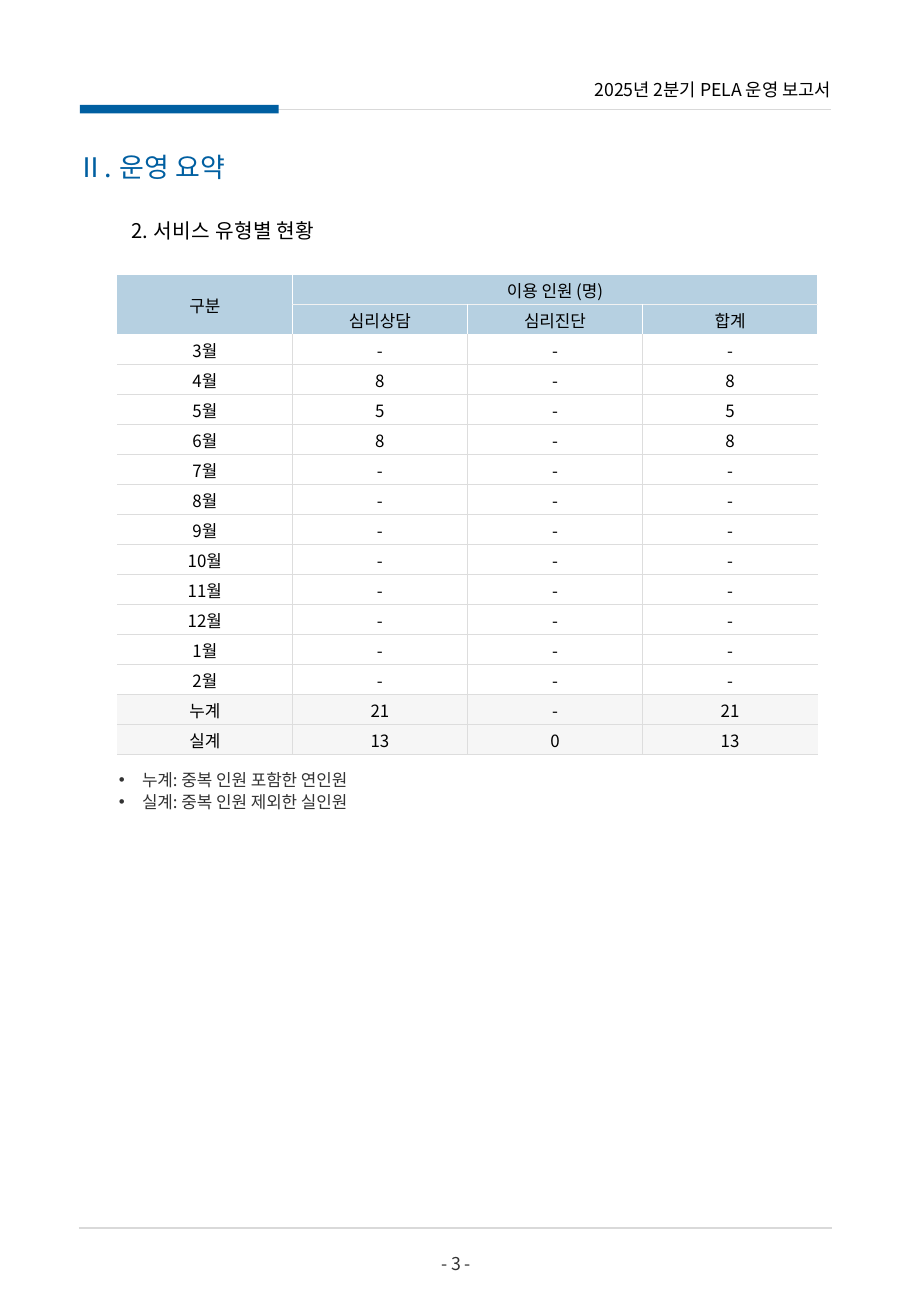
from dataclasses import dataclass

from lxml.etree import SubElement
from pptx import Presentation
from pptx.dml.color import RGBColor
from pptx.enum.shapes import MSO_CONNECTOR, MSO_SHAPE
from pptx.enum.text import MSO_ANCHOR, PP_ALIGN
from pptx.oxml.ns import qn
from pptx.util import Pt


@dataclass(frozen=True)
class Theme:
    font: str = "Noto Sans CJK KR"
    accent: str = "005FA1"
    ink: str = "000000"
    muted: str = "333333"
    rule: str = "D9D9D9"
    header_fill: str = "B6D0E1"
    total_fill: str = "F6F6F6"
    paper: str = "FFFFFF"
    grid: str = "DDDDDD"
    header_grid: str = "F2F2F2"
    title_size: float = 16
    section_size: float = 12
    running_size: float = 10.5
    body_size: float = 10


theme = Theme()


def write(frame, lines, size, color, align=PP_ALIGN.LEFT, before=0, left=0, hang=0, spacing=0):
    for index, line in enumerate(lines):
        para = frame.paragraphs[0] if index == 0 else frame.add_paragraph()
        para_format = {"alignment": align, "space_before": Pt(before), "space_after": Pt(0)}
        for name, value in para_format.items():
            setattr(para, name, value)
        properties = para._p.get_or_add_pPr()
        properties.set("marL", str(Pt(left)))
        properties.set("indent", str(Pt(hang)))
        span = para.add_run()
        span.text = line
        span_format = {"name": theme.font, "size": Pt(size), "bold": False}
        for name, value in span_format.items():
            setattr(span.font, name, value)
        span.font.color.rgb = RGBColor.from_string(color)
        span_properties = span._r.get_or_add_rPr()
        span_properties.set("spc", str(round(spacing * 100)))
        SubElement(span_properties, qn("a:ea"), typeface=theme.font)


def arrange(box, left, top, width, height, inset_left=0, inset_top=0):
    bounds = {"left": left, "top": top, "width": width, "height": height}
    for name, value in bounds.items():
        setattr(box, name, Pt(value))
    frame_format = {
        "margin_left": Pt(inset_left), "margin_top": Pt(inset_top),
        "margin_right": Pt(0), "margin_bottom": Pt(0),
        "word_wrap": True, "vertical_anchor": MSO_ANCHOR.TOP,
    }
    for name, value in frame_format.items():
        setattr(box.text_frame, name, value)
    return box.text_frame


deck = Presentation()
deck.slide_width, deck.slide_height = Pt(540), Pt(780)
page = deck.slides.add_slide(deck.slide_layouts[1])
title, notes = page.placeholders

for start, end, y in [(153.4, 492.5, 64.8), (46.8, 493.2, 727.9)]:
    rule = page.shapes.add_connector(MSO_CONNECTOR.STRAIGHT, Pt(start), Pt(y), Pt(end), Pt(y))
    rule.line.color.rgb = RGBColor.from_string(theme.rule)
    rule.line.width = Pt(0.75)
    SubElement(rule._element.spPr, qn("a:effectLst"))

accent_bar = page.shapes.add_shape(MSO_SHAPE.RECTANGLE, Pt(47.4), Pt(62.1), Pt(117.8), Pt(5.2))
accent_bar.shadow.inherit = False
accent_bar.fill.solid()
accent_bar.fill.fore_color.rgb = RGBColor.from_string(theme.accent)
accent_bar.line.fill.background()

title_frame = arrange(title, 38.9, 85.7, 168.5, 26.6, 7.2, 3.6)
write(title_frame, ["Ⅱ. 운영 요약"], theme.title_size, theme.accent, spacing=0.2)

section = page.shapes.add_textbox(0, 0, 0, 0)
section_frame = arrange(section, 46.8, 123.8, 168.5, 20.9, 0, 5.8)
write(section_frame, ["2. 서비스 유형별 현황"], theme.section_size, theme.ink, left=31, spacing=0.2)

running_head = page.shapes.add_textbox(0, 0, 0, 0)
running_frame = arrange(running_head, 345.6, 46.1, 146.9, 13.7, 0, 0.7)
write(running_frame, ["2025년 2분기 PELA 운영 보고서"], theme.running_size, theme.ink, PP_ALIGN.RIGHT)

page_number = page.shapes.add_textbox(0, 0, 0, 0)
number_frame = arrange(page_number, 255.3, 740.9, 30, 14.4, 0, 1.7)
write(number_frame, ["- 3 -"], theme.running_size, theme.muted, PP_ALIGN.CENTER)

notes_frame = arrange(notes, 69.8, 455.4, 410.4, 25.9, 0, 0.7)
write(notes_frame, ["누계: 중복 인원 포함한 연인원", "실계: 중복 인원 제외한 실인원"],
      theme.body_size, theme.muted, before=1, left=14.4, hang=-13.7)
for para in notes_frame.paragraphs:
    SubElement(para._p.get_or_add_pPr(), qn("a:buChar"), char="•")

counseling = {"4월": "8", "5월": "5", "6월": "8"}
months = [f"{month}월" for month in [*range(3, 13), 1, 2]]
rows = [["구분", "이용 인원 (명)", "", ""], ["", "심리상담", "심리진단", "합계"]]
for month in months:
    count = counseling.get(month, "-")
    rows.append([month, count, "-", count])
rows += [["누계", "21", "-", "21"], ["실계", "13", "0", "13"]]

row_height, column_width, header_rows, total_rows = 17.8, 103.8, 2, 2
last_column = len(rows[0]) - 1
table = page.shapes.add_table(
    len(rows), len(rows[0]), Pt(69.5), Pt(162.7),
    Pt(column_width * len(rows[0])), Pt(row_height * len(rows)),
).table
for name in ("first_row", "horz_banding"):
    setattr(table, name, False)
for column in table.columns:
    column.width = Pt(column_width)
for row in table.rows:
    row.height = Pt(row_height)
table.cell(0, 0).merge(table.cell(1, 0))
table.cell(0, 1).merge(table.cell(0, last_column))

cell_format = {
    "margin_left": Pt(0.7), "margin_right": Pt(0.7), "margin_top": Pt(0.7),
    "margin_bottom": Pt(0), "vertical_anchor": MSO_ANCHOR.MIDDLE,
}
for row_index, values in enumerate(rows):
    is_header = row_index < header_rows
    is_total = row_index >= len(rows) - total_rows
    fill = theme.header_fill if is_header else theme.total_fill if is_total else theme.paper
    for column_index, value in enumerate(values):
        cell = table.cell(row_index, column_index)
        for name, setting in cell_format.items():
            setattr(cell, name, setting)
        edge = theme.paper if is_header else theme.grid
        edges = {"L": edge, "R": edge, "T": edge, "B": edge}
        if row_index == header_rows:
            edges["T"] = theme.paper
        if is_header and column_index > 0:
            edges["B" if row_index == 0 else "T"] = theme.header_grid
        if column_index == 0:
            edges["L"] = None
        if column_index == last_column and not is_header:
            edges["R"] = None
        properties = cell._tc.get_or_add_tcPr()
        for side, color in edges.items():
            border = SubElement(properties, qn(f"a:ln{side}"), w=str(Pt(1) if color else 0))
            if color:
                SubElement(SubElement(border, qn("a:solidFill")), qn("a:srgbClr"), val=color)
            else:
                SubElement(border, qn("a:noFill"))
        cell.fill.solid()
        cell.fill.fore_color.rgb = RGBColor.from_string(fill)
        if value:
            write(cell.text_frame, [value], theme.body_size, theme.ink, PP_ALIGN.CENTER)

deck.save("out.pptx")
